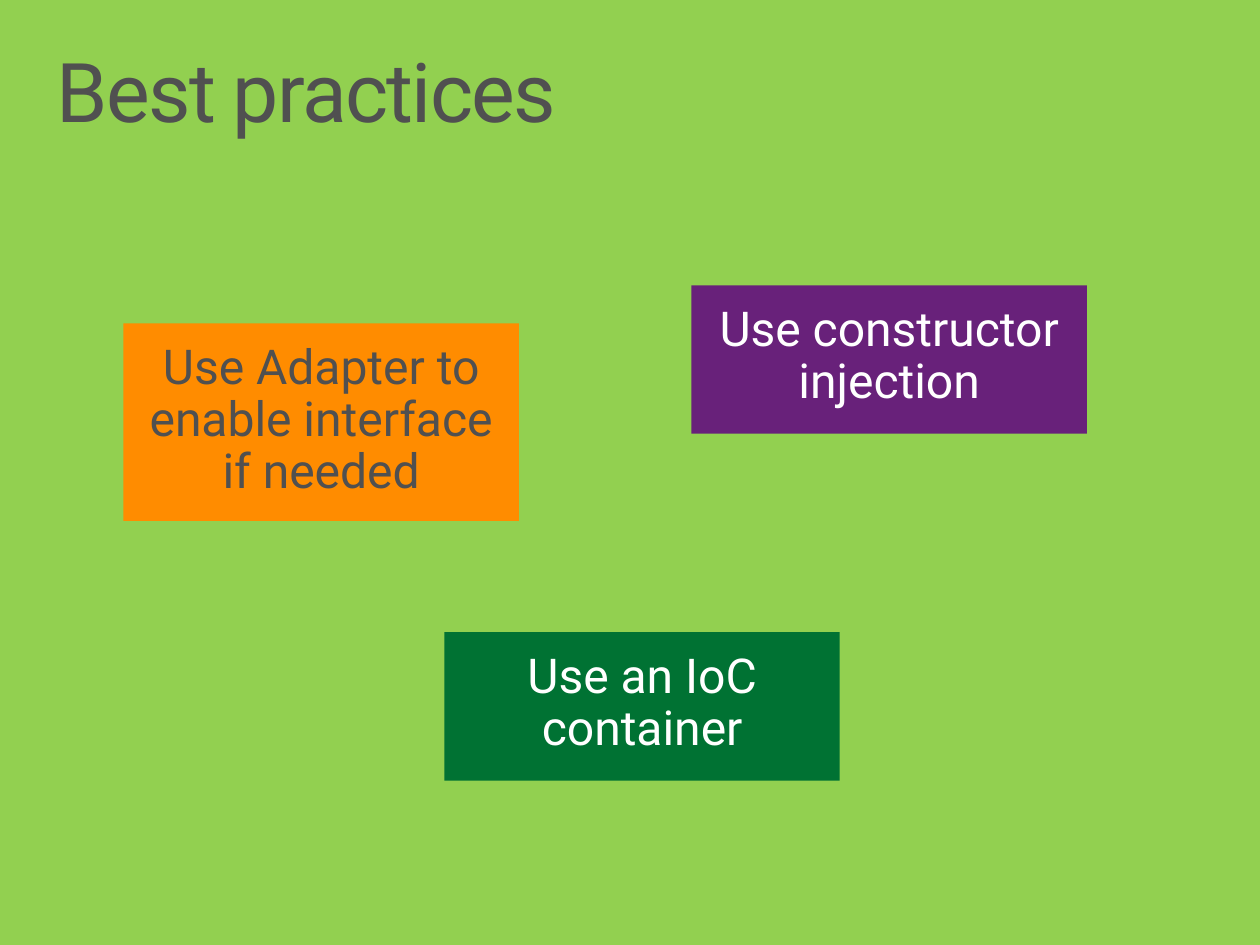
from pptx import Presentation
from pptx.dml.color import RGBColor
from pptx.enum.shapes import MSO_SHAPE
from pptx.enum.text import MSO_ANCHOR, PP_ALIGN
from pptx.util import Cm, Pt

RECT = MSO_SHAPE.RECTANGLE
TOP = MSO_ANCHOR.TOP
LEFT, CENTER = PP_ALIGN.LEFT, PP_ALIGN.CENTER

GRAY, WHITE = "505050", "FFFFFF"
CARD_W = 8.13


def color(code):
    return RGBColor.from_string(code)


class Board:
    font = "Roboto"
    leading = 0.9

    def __init__(self, deck, back):
        self.slide = deck.slides.add_slide(deck.slide_layouts[6])
        fill = self.slide.background.fill
        fill.solid()
        fill.fore_color.rgb = color(back)

    def label(self, shape, text, size, ink, align, pad):
        frame = shape.text_frame
        frame.word_wrap = True
        frame.vertical_anchor = TOP
        frame.margin_left = frame.margin_right = Cm(pad[0])
        frame.margin_top = frame.margin_bottom = Cm(pad[1])
        frame.text = text
        para = frame.paragraphs[0]
        para.alignment = align
        para.line_spacing = self.leading
        run = para.runs[0]
        run.font.name = self.font
        run.font.size = Pt(size)
        run.font.color.rgb = color(ink)
        return run

    def title(self, text):
        box = self.slide.shapes.add_textbox(Cm(0.76), Cm(0.81), Cm(24.38), Cm(2.54))
        run = self.label(box, text, 48, GRAY, LEFT, (0.41, 0.25))
        # Tighten the letters by one point
        run._r.get_or_add_rPr().set("spc", "-100")

    def card(self, text, x, y, h, back, ink):
        box = self.slide.shapes.add_shape(RECT, Cm(x), Cm(y), Cm(CARD_W), Cm(h))
        box.shadow.inherit = False
        box.fill.solid()
        box.fill.fore_color.rgb = color(back)
        box.line.fill.background()
        self.label(box, text, 28, ink, CENTER, (0.5, 0.41))


def main():
    deck = Presentation()
    deck.slide_width, deck.slide_height = Cm(25.91), Cm(19.43)
    board = Board(deck, "92D050")

    # Heading
    board.title("Best practices")

    # Practice cards: text, left, top, height, fill, ink
    cards = [
        ("Use constructor injection", 14.22, 5.87, 3.05, "68217A", WHITE),
        ("Use Adapter to enable interface if needed", 2.54, 6.65, 4.06, "FF8C00", GRAY),
        ("Use an IoC container", 9.14, 13, 3.05, "007233", WHITE),
    ]
    for card in cards:
        board.card(*card)

    deck.save("out.pptx")


if __name__ == "__main__":
    main()
